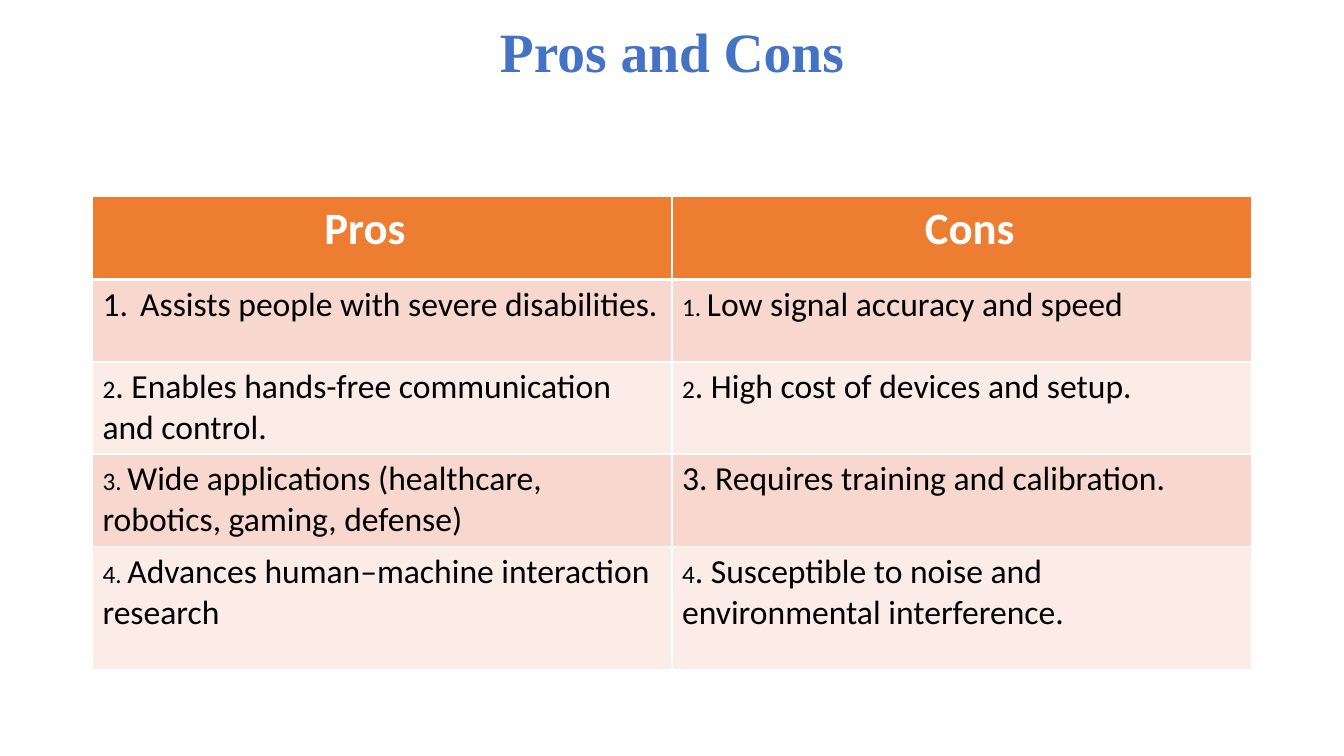
from dataclasses import dataclass

from lxml.etree import SubElement
from pptx import Presentation
from pptx.dml.color import RGBColor
from pptx.enum.text import MSO_ANCHOR, PP_ALIGN
from pptx.oxml.ns import qn
from pptx.util import Cm, Pt


@dataclass(frozen=True)
class Theme:
    """Colours, fonts and type sizes of the slide."""
    title_color: str = "4472C4"
    header_fill: str = "ED7D31"
    bands: tuple = ("F8D7CE", "FCECE8")
    white: str = "FFFFFF"
    ink: str = "000000"
    title_font: str = "Times New Roman"
    body_font: str = "Calibri"
    title_size: float = 39.6
    header_size: float = 32
    body_size: float = 24
    number_size: float = 18


class SlideBuilder:
    """Draws styled elements on the current slide."""

    def __init__(self, page, theme):
        """Keep the slide and its theme."""
        self.page = page
        self.theme = theme

    def span(self, para, text, font, size, color, bold=False):
        """Add one formatted run."""
        span = para.add_run()
        span.text = text
        span.font.name = font
        span.font.size = Pt(size)
        span.font.bold = bold
        span.font.color.rgb = RGBColor.from_string(color)

    def title(self, text, left, top, width, height):
        """Place and format the title placeholder."""
        box = self.page.shapes.title
        box.left, box.top, box.width, box.height = left, top, width, height
        box.text_frame.vertical_anchor = MSO_ANCHOR.MIDDLE
        para = box.text_frame.paragraphs[0]
        para.alignment = PP_ALIGN.CENTER
        para.line_spacing = 0.9
        theme = self.theme
        self.span(para, text, theme.title_font, theme.title_size, theme.title_color, True)

    def indent(self, para, margin, first_line=0):
        """Set the left margin and first-line indent of a paragraph."""
        properties = para._p.get_or_add_pPr()
        properties.set("marL", str(margin))
        properties.set("indent", str(first_line))
        return properties

    def paint(self, cell, fill, top, bottom):
        """Give a cell white borders and a solid fill."""
        properties = cell._tc.get_or_add_tcPr()
        for side, points in (("L", 1), ("R", 1), ("T", top), ("B", bottom)):
            line = SubElement(properties, qn(f"a:ln{side}"), w=str(Pt(points)))
            solid = SubElement(line, qn("a:solidFill"))
            SubElement(solid, qn("a:srgbClr"), val=self.theme.white)
        cell.fill.solid()
        cell.fill.fore_color.rgb = RGBColor.from_string(fill)

    def header(self, cell, text, margin):
        """Fill a heading cell."""
        theme = self.theme
        self.paint(cell, theme.header_fill, 1, 3)
        para = cell.text_frame.paragraphs[0]
        self.indent(para, margin)
        self.span(para, text, theme.body_font, theme.header_size, theme.white, True)

    def point(self, cell, row, number, text):
        """Fill a body cell, numbering it automatically if no number is given."""
        theme = self.theme
        self.paint(cell, theme.bands[(row - 1) % 2], 3 if row == 1 else 1, 1)
        para = cell.text_frame.paragraphs[0]
        if number is None:
            properties = self.indent(para, Cm(0.95), -Cm(0.95))
            SubElement(properties, qn("a:buFont"), typeface="+mj-lt")
            SubElement(properties, qn("a:buAutoNum"), type="arabicPeriod")
        elif number:
            self.span(para, number, theme.body_font, theme.number_size, theme.ink)
        self.span(para, text, theme.body_font, theme.body_size, theme.ink)

    def table(self, headers, rows, left, top, width, heights):
        """Add the comparison table."""
        frame = self.page.shapes.add_table(
            len(heights), len(headers), left, top, width, sum(heights))
        table = frame.table
        for row, height in zip(table.rows, heights):
            row.height = height
        for column, (text, margin) in enumerate(headers):
            table.columns[column].width = width // len(headers)
            self.header(table.cell(0, column), text, margin)
        for row, points in enumerate(rows, 1):
            for column, (number, text) in enumerate(points):
                self.point(table.cell(row, column), row, number, text)


HEADERS = [("Pros", Cm(5.59)), ("Cons", Cm(6.12))]
ROWS = [
    [(None, "Assists people with severe disabilities."),
     ("1. ", "Low signal accuracy and speed")],
    [("2", ". Enables hands-free communication and control."),
     ("2", ". High cost of devices and setup.")],
    [("3. ", "Wide applications (healthcare, robotics, gaming, defense)"),
     ("", "3. Requires training and calibration.")],
    [("4. ", "Advances human–machine interaction research"),
     ("4", ". Susceptible to noise and environmental interference.")],
]


def main():
    """Build and save the deck."""
    deck = Presentation()
    deck.slide_width, deck.slide_height = Cm(33.87), Cm(19.05)
    page = deck.slides.add_slide(deck.slide_layouts[5])
    builder = SlideBuilder(page, Theme())
    left, width = Cm(2.33), Cm(29.21)
    builder.title("Pros and Cons", left, Cm(0.2), width, Cm(2.36))
    heights = [Cm(height) for height in (2.08, 2.08, 2.32, 2.32, 3.1)]
    builder.table(HEADERS, ROWS, left, Cm(4.96), width, heights)
    deck.save("out.pptx")


if __name__ == "__main__":
    main()
